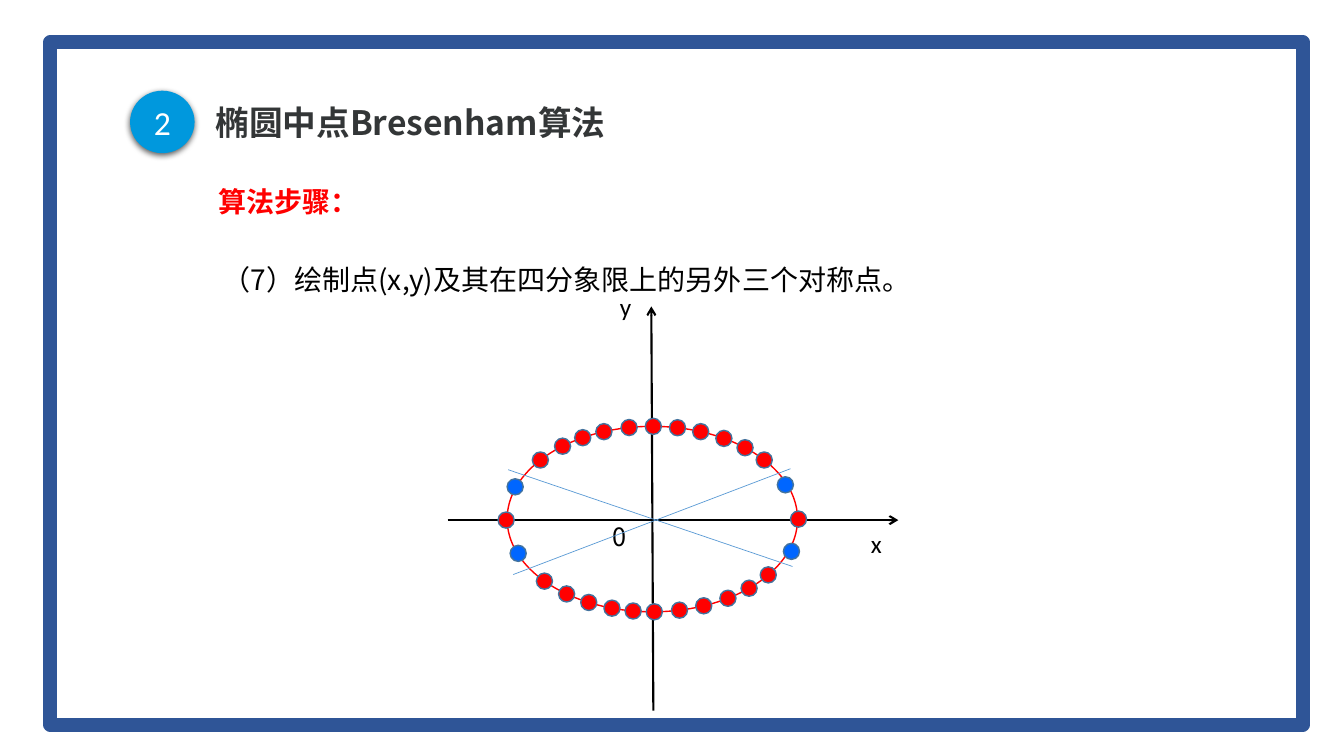
import math
from dataclasses import dataclass

import lxml.etree
import pptx
import pptx.dml.color
import pptx.enum.shapes
import pptx.enum.text
import pptx.oxml
import pptx.oxml.ns
import pptx.util

qn = pptx.oxml.ns.qn
SHAPES = pptx.enum.shapes.MSO_SHAPE
ALIGN = pptx.enum.text.PP_ALIGN
ANCHOR = pptx.enum.text.MSO_ANCHOR


@dataclass(frozen=True)
class Theme:
    """Colours, fonts and type sizes of the slide."""
    white: str = "FFFFFF"
    black: str = "000000"
    frame: str = "2F5597"
    badge: str = "0098DD"
    title: str = "333637"
    red: str = "FF0000"
    blue: str = "0066FF"
    dot_line: str = "43739E"
    diagonal: str = "5B9BD5"
    latin_font: str = "Calibri"
    chinese_font: str = "Noto Sans CJK SC"
    title_size: int = 24
    body_size: int = 20
    label_size: int = 18


class SlideBuilder:
    """Draws on one slide with a grid of cells a tenth of an inch wide and high."""

    cell = pptx.util.Inches(0.1)

    def __init__(self, slide, theme):
        self.slide = slide
        self.theme = theme

    def place(self, *lengths):
        return [round(length * self.cell) for length in lengths]

    def colour(self, fill, value):
        fill.solid()
        fill.fore_color.rgb = pptx.dml.color.RGBColor.from_string(value)

    def set_text(self, shape, text, size, colour, font, bold=False, spacing=None, align=ALIGN.LEFT):
        paragraph = shape.text_frame.paragraphs[0]
        paragraph.text = text
        paragraph.alignment = align
        if spacing:
            paragraph.line_spacing = spacing
        run = paragraph.runs[0]
        run.font.size = pptx.util.Pt(size)
        run.font.bold = bold
        run.font.name = font
        self.colour(run.font.fill, colour)
        east_asian = lxml.etree.SubElement(run.font._element, qn("a:ea"))
        east_asian.set("typeface", font)

    def text(self, box, text, size, colour, font, wrap=True, anchor=ANCHOR.TOP, **style):
        shape = self.slide.shapes.add_textbox(*self.place(*box))
        shape.text_frame.word_wrap = wrap
        shape.text_frame.vertical_anchor = anchor
        self.set_text(shape, text, size, colour, font, **style)

    def shape(self, kind, box, fill=None, line=None, width=1, opacity=None):
        shape = self.slide.shapes.add_shape(kind, *self.place(*box))
        shape.shadow.inherit = False
        if fill:
            self.colour(shape.fill, fill)
        else:
            shape.fill.background()
        if opacity:
            colour = shape._element.spPr.find(".//" + qn("a:srgbClr"))
            lxml.etree.SubElement(colour, qn("a:alpha")).set("val", str(opacity * 1000))
        if line:
            self.colour(shape.line.fill, line)
            shape.line.width = pptx.util.Pt(width)
        else:
            shape.line.fill.background()
        return shape

    def badge(self, box, text):
        theme = self.theme
        shape = self.shape(SHAPES.OVAL, box, theme.badge)
        effects = shape._element.spPr.find(qn("a:effectLst"))
        effects.append(pptx.oxml.parse_xml(
            '<a:outerShdw xmlns:a="http://schemas.openxmlformats.org/drawingml/2006/main" '
            'blurRad="57150" dist="19050" dir="5400000" algn="ctr" rotWithShape="0">'
            f'<a:srgbClr val="{theme.black}"><a:alpha val="63000"/></a:srgbClr></a:outerShdw>'))
        shape.text_frame.vertical_anchor = ANCHOR.MIDDLE
        self.set_text(shape, text, theme.title_size, theme.white, theme.latin_font, align=ALIGN.CENTER)

    def line(self, start, end, colour, width, arrow=False):
        connector = self.slide.shapes.add_connector(
            pptx.enum.shapes.MSO_CONNECTOR.STRAIGHT, *self.place(*start, *end))
        self.colour(connector.line.fill, colour)
        connector.line.width = pptx.util.Pt(width)
        if arrow:
            outline = connector.line._get_or_add_ln()
            lxml.etree.SubElement(outline, qn("a:tailEnd")).set("type", "arrow")
        lxml.etree.SubElement(connector._element.spPr, qn("a:effectLst"))

    def dot(self, x, y, colour, diameter=1.6):
        box = (x - diameter / 2, y - diameter / 2, diameter, diameter)
        self.shape(SHAPES.OVAL, box, colour, self.theme.dot_line)


def draw_heading(builder, theme):
    """Draw the frame, the numbered title and the step."""
    builder.shape(SHAPES.RECTANGLE, (5.8, 5, 122.5, 66.2), theme.white, opacity=86)
    builder.shape(SHAPES.RECTANGLE, (5, 4.2, 124.2, 67.7), line=theme.frame, width=10)
    builder.text((20.4, 9.3, 83.5, 6.1), "椭圆中点Bresenham算法", theme.title_size, theme.title,
                 theme.chinese_font, anchor=ANCHOR.MIDDLE, bold=True, spacing=0.9)
    builder.badge((12.9, 9, 6.4, 6.2), "2")
    builder.text((20.7, 18.2, 16, 4), "算法步骤：", theme.body_size, theme.red,
                 theme.chinese_font, wrap=False, bold=True, spacing=0.9)
    builder.text((21.1, 23.9, 102.4, 5.5), "（7）绘制点(x,y)及其在四分象限上的另外三个对称点。",
                 theme.body_size, theme.black, theme.chinese_font, spacing=1.5)


def draw_ellipse(builder, theme):
    """Draw the axes, the ellipse and its symmetric points."""
    labels = [
        ("0", (59.8, 51.2, 3.5, 4), theme.chinese_font),
        ("y", (60.5, 28.4, 3.2, 4), theme.latin_font),
        ("x", (85.4, 51.9, 10.6, 4), theme.latin_font),
    ]
    for label, box, font in labels:
        builder.text(box, label, theme.label_size, theme.black, font, wrap=label == "x")
    builder.line((44.4, 51.6), (89.1, 51.6), theme.black, 1.5, arrow=True)
    builder.line((64.8, 70.5), (64.6, 30.4), theme.black, 1.5, arrow=True)

    center_x, center_y, radius_x, radius_y = 64.7, 51.5, 14.4, 9.2
    builder.shape(SHAPES.OVAL, (center_x - radius_x, center_y - radius_y, 2 * radius_x, 2 * radius_y),
                  line=theme.red)
    builder.line((78.4, 46.5), (50.9, 57), theme.diagonal, 0.5)
    builder.line((78.6, 56.2), (50.4, 46.6), theme.diagonal, 0.5)

    arcs = {
        -1: (53.6, 55.8, 57.8, 59.9, 62.4, 64.8, 67.2, 69.5, 71.8, 73.9, 75.8),
        1: (54, 56.2, 58.4, 60.7, 62.8, 64.9, 67.4, 69.8, 72.2, 74.3, 76.2),
    }
    for side, columns in arcs.items():
        for x in columns:
            height = radius_y * math.sqrt(1 - ((x - center_x) / radius_x) ** 2)
            builder.dot(x, center_y + side * height, theme.red)
    for x, y in [(50.2, 51.6), (79.2, 51.5)]:
        builder.dot(x, y, theme.red)
    for x, y in [(77.9, 48.1), (78.5, 54.7), (51.1, 48.3), (51.4, 54.9)]:
        builder.dot(x, y, theme.blue)


def main():
    """Build and save the slide."""
    presentation = pptx.Presentation()
    presentation.slide_width = pptx.util.Inches(13.33)
    presentation.slide_height = pptx.util.Inches(7.5)
    slide = presentation.slides.add_slide(presentation.slide_layouts[6])
    theme = Theme()
    builder = SlideBuilder(slide, theme)
    draw_heading(builder, theme)
    draw_ellipse(builder, theme)
    presentation.save("out.pptx")


if __name__ == "__main__":
    main()
